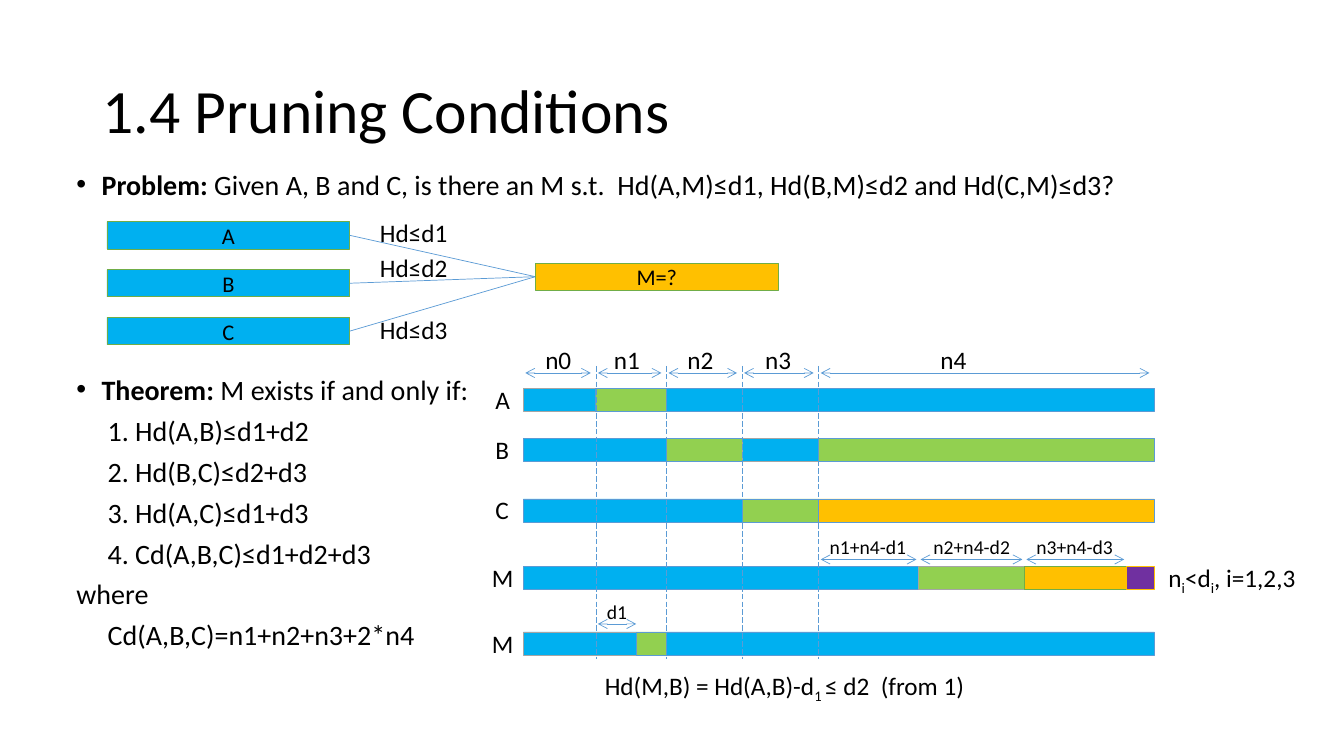
from lxml import etree
from pptx import Presentation
from pptx.dml.color import RGBColor
from pptx.enum.dml import MSO_LINE
from pptx.enum.shapes import MSO_CONNECTOR, MSO_SHAPE
from pptx.enum.text import MSO_ANCHOR, PP_ALIGN
from pptx.oxml.ns import qn
from pptx.util import Inches, Pt

STRAIGHT = MSO_CONNECTOR.STRAIGHT
RECTANGLE = MSO_SHAPE.RECTANGLE
LONG_DASH = MSO_LINE.LONG_DASH
TOP, MIDDLE = MSO_ANCHOR.TOP, MSO_ANCHOR.MIDDLE
LEFT, CENTER = PP_ALIGN.LEFT, PP_ALIGN.CENTER

BLACK, BLUE, GREEN = "000000", "00B0F0", "92D050"
ORANGE, PURPLE = "FFC000", "7030A0"
STEEL, GRAY, LEAF = "5B9BD5", "A5A5A5", "70AD47"
BOLD = {"bold": True}
SUBSCRIPT = "-25000"


def color(hex_value):
    return RGBColor.from_string(hex_value)


def grid(*cells):
    """Turn columns or rows, each a tenth of an inch, into lengths."""
    return [Inches(cell / 10) for cell in cells]


def set_all(target, values):
    for name, value in values.items():
        setattr(target, name, value)


class Canvas:
    font = "Calibri"
    line_width = Pt(0.5)

    def __init__(self, slide):
        self.shapes = slide.shapes

    def add_runs(self, paragraph, runs, size):
        """Add runs given as plain text or as (text, font values, baseline)."""
        for part in [runs] if isinstance(runs, str) else runs:
            text, values, baseline = (part, {}, None) if isinstance(part, str) else part
            run = paragraph.add_run()
            run.text = text
            set_all(run.font, {"name": self.font, "size": Pt(size), **values})
            run.font.color.rgb = color(BLACK)
            if baseline:
                run.font._element.set("baseline", baseline)

    def text(self, left, top, width, height, runs, size=18, wrap=False,
             anchor=TOP, spacing=None):
        frame = self.shapes.add_textbox(*grid(left, top, width, height)).text_frame
        set_all(frame, {"word_wrap": wrap, "vertical_anchor": anchor})
        set_all(frame.paragraphs[0], {"alignment": LEFT, "line_spacing": spacing})
        self.add_runs(frame.paragraphs[0], runs, size)

    def outline(self, left, top, width, height, items, size=20):
        """Items are (runs, left margin in columns, bulleted)."""
        frame = self.shapes.add_textbox(*grid(left, top, width, height)).text_frame
        frame.word_wrap = True
        for index, (runs, margin, bulleted) in enumerate(items):
            paragraph = frame.add_paragraph() if index else frame.paragraphs[0]
            properties = paragraph._p.get_or_add_pPr()
            indent = grid(margin)[0]
            properties.set("marL", str(indent))
            properties.set("indent", str(-indent if bulleted else 0))
            if bulleted:
                etree.SubElement(properties, qn("a:buFont")).set("typeface", "Arial")
                etree.SubElement(properties, qn("a:buChar")).set("char", "•")
            set_all(paragraph, {"line_spacing": 0.8, "space_before": Pt(10 if index else 0)})
            self.add_runs(paragraph, runs, size)

    def bar(self, left, top, width, height, fill, edge, label=""):
        shape = self.shapes.add_shape(RECTANGLE, *grid(left, top, width, height))
        shape.shadow.inherit = False
        shape.fill.solid()
        shape.fill.fore_color.rgb = color(fill)
        shape.line.color.rgb = color(edge)
        shape.line.width = self.line_width
        if label:
            shape.text_frame.vertical_anchor = MIDDLE
            shape.text_frame.paragraphs[0].alignment = CENTER
            self.add_runs(shape.text_frame.paragraphs[0], label, 16)

    def strip(self, top, start, segments):
        """Draw adjoining bars from (end column, fill, edge) segments."""
        for end, fill, edge in segments:
            self.bar(start, top, end - start, 2.3, fill, edge)
            start = end

    def line(self, x1, y1, x2, y2, dashed=False, arrows=False):
        connector = self.shapes.add_connector(STRAIGHT, *grid(x1, y1, x2, y2))
        connector.line.color.rgb = color(STEEL)
        connector.line.width = self.line_width
        if dashed:
            connector.line.dash_style = LONG_DASH
        properties = connector._element.spPr
        if arrows:
            for end in ("a:headEnd", "a:tailEnd"):
                etree.SubElement(properties.find(qn("a:ln")), qn(end)).set("type", "arrow")
        etree.SubElement(properties, qn("a:effectLst"))

    def spans(self, row, edges, end_gap):
        """Measure each interval between neighbouring edges with a double arrow."""
        for start, end in zip(edges, edges[1:]):
            self.line(start + 0.2, row, end - end_gap, row, arrows=True)


def draw_problem(canvas):
    canvas.outline(6.6, 16.8, 115.4, 4, [
        ([("Problem:", BOLD, None),
          " Given A, B and C, is there an M s.t.  Hd(A,M)≤d1, Hd(B,M)≤d2 and Hd(C,M)≤d3?"],
         2.5, True)])
    left, width, height, target, target_top = 10.6, 24.1, 2.7, 53.1, 26.1
    for index, (name, label_top) in enumerate(zip("ABC", (21.1, 24.5, 30.7))):
        top = 22 + 4.75 * index
        canvas.bar(left, top, width, height, BLUE, LEAF, name)
        canvas.line(left + width, top + height / 2, target, target_top + height / 2)
        canvas.text(36.7, label_top, 8.8, 4, f"Hd≤d{index + 1}")
    canvas.bar(target, target_top, width, height, ORANGE, LEAF, "M=?")


def draw_theorem(canvas):
    conditions = ("1. Hd(A,B)≤d1+d2", "2. Hd(B,C)≤d2+d3", "3. Hd(A,C)≤d1+d3",
                  "4. Cd(A,B,C)≤d1+d2+d3")
    canvas.outline(6.6, 37.1, 43, 28.7, [
        ([("Theorem:", BOLD, None), " M exists if and only if:"], 2.5, True),
        *((condition, 3.1, False) for condition in conditions),
        ("where", 0, False),
        ("Cd(A,B,C)=n1+n2+n3+2*n4", 3.1, False)])


def draw_strings(canvas):
    edges = [51.9, 59.1, 66.1, 73.6, 81.2, 114.5]
    start, e1, e2, e3, e4, finish = edges
    m1, m2, m3 = 91.1, 101.6, 111.7
    strings = [
        ("A", 38.5, [(e1, BLUE, GRAY), (e2, GREEN, STEEL), (finish, BLUE, STEEL)]),
        ("B", 43.5, [(e2, BLUE, STEEL), (e3, GREEN, STEEL), (e4, BLUE, GRAY),
                     (finish, GREEN, STEEL)]),
        ("C", 49.5, [(e3, BLUE, STEEL), (e4, GREEN, STEEL), (finish, ORANGE, STEEL)]),
        ("M", 56.2, [(m1, BLUE, STEEL), (m2, GREEN, GRAY), (m3, ORANGE, LEAF),
                     (finish, PURPLE, ORANGE)]),
        ("M", 62.7, [(63.1, BLUE, GRAY), (e2, GREEN, STEEL), (finish, BLUE, STEEL)]),
    ]
    for name, top, segments in strings:
        canvas.strip(top, start, segments)
        canvas.text(47.8 if name == "M" else 48.15, top - 0.9,
                    4.2 if name == "M" else 3.4, 4, name)
    for edge in edges[1:-1]:
        canvas.line(edge, 36.3, edge, 65.4, dashed=True)

    canvas.spans(37, edges, 0.5)
    for index, left in enumerate((53.1, 59.9, 67.2, 74.9, 92.3)):
        canvas.text(left, 33.7, 4.6, 4, f"n{index}")
    canvas.spans(55.5, [e4, m1, m2, m3], 0.2)
    for index, left in enumerate((81.3, 91.6, 101.8), 1):
        canvas.text(left, 52.6, 9.7, 3.4, f"n{index}+n4-d{index}", 14)
    canvas.spans(61.9, [e1, 63.3], 0.2)
    canvas.text(59.2, 59, 4.1, 3.4, "d1", 14)

    canvas.text(114.9, 55.3, 15.3, 4, [
        "n", ("i", {}, SUBSCRIPT), "<d", ("i", {}, SUBSCRIPT), ", i=1,2,3"])
    canvas.text(59, 66, 38.3, 4, [
        "Hd(M,B) = Hd(A,B)-d", ("1 ", {}, SUBSCRIPT), "≤ d2  (from 1)"])


def main():
    deck = Presentation()
    deck.slide_width, deck.slide_height = Inches(13.33), Inches(7.5)
    canvas = Canvas(deck.slides.add_slide(deck.slide_layouts[6]))
    canvas.text(9.2, 4, 115, 14.5, "1.4 Pruning Conditions", 44, True, MIDDLE, 0.9)
    draw_problem(canvas)
    draw_theorem(canvas)
    draw_strings(canvas)
    deck.save("out.pptx")


if __name__ == "__main__":
    main()
